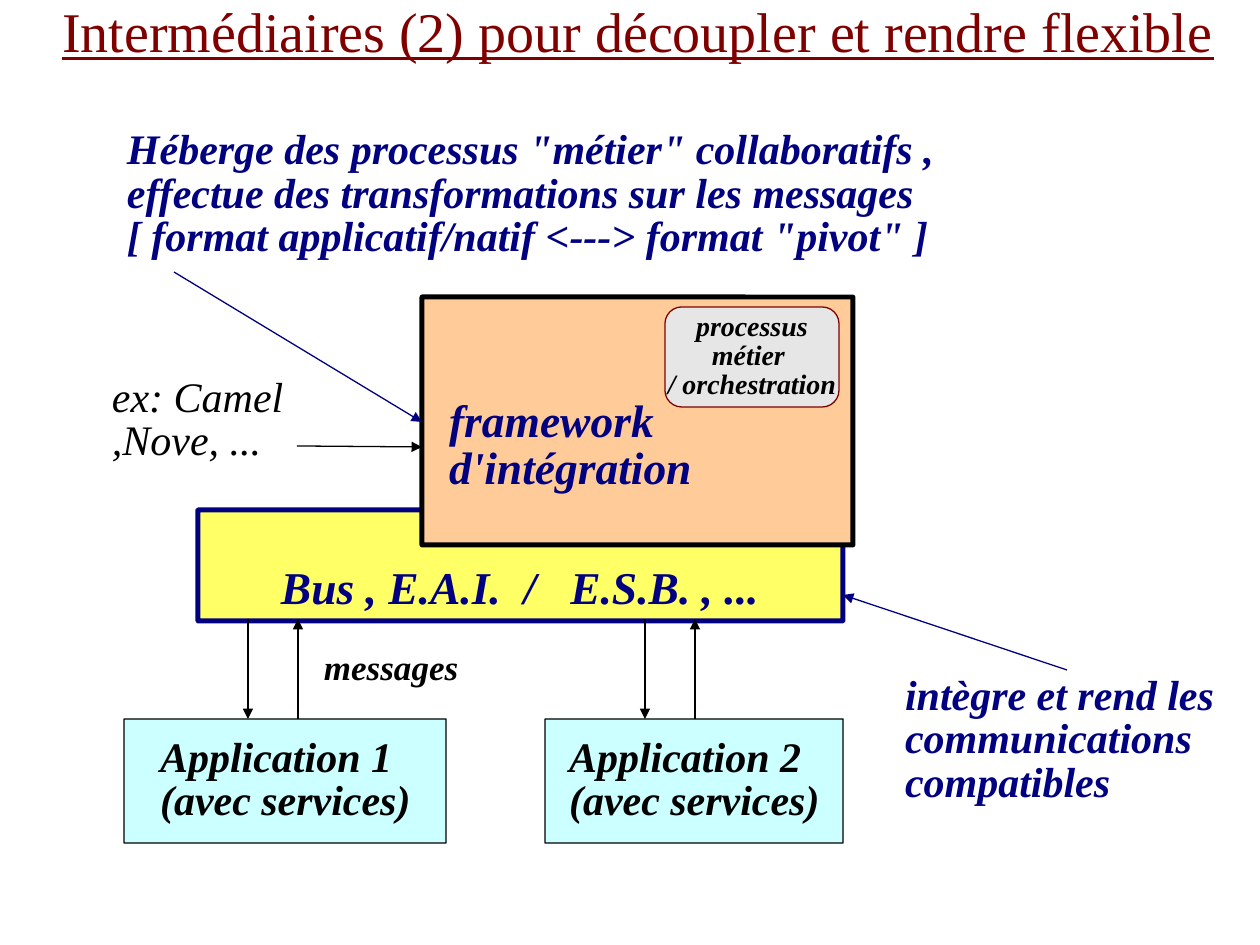
from dataclasses import dataclass

from lxml import etree
from pptx import Presentation
from pptx import util as u
from pptx.dml.color import RGBColor
from pptx.enum import shapes, text
from pptx.oxml import ns

EMU_PER_PX = 914400 / 126


@dataclass(frozen=True)
class Theme:
    font: str = "Times New Roman"
    maroon: str = "800000"
    navy: str = "000080"
    black: str = "000000"
    cyan: str = "CCFFFF"
    yellow: str = "FFFF66"
    orange: str = "FFCC99"
    grey: str = "E6E6E6"
    title: int = 32
    heading: int = 26
    body: int = 24
    caption: int = 20
    small: int = 16
    thin: float = 0.75
    thick: float = 2.83
    line_spacing: float = 0.86


THEME = Theme()


@dataclass(frozen=True)
class Area:
    left: int
    top: int
    width: int
    height: int


@dataclass(frozen=True)
class TextStyle:
    size: int
    color: str = THEME.black
    bold: bool = True
    italic: bool = True
    underline: bool = False
    centred: bool = False
    wrap: bool = True


@dataclass(frozen=True)
class Margins:
    left: int = 13
    top: int = 6
    right: int = 13
    bottom: int = 6


@dataclass(frozen=True)
class Box:
    area: Area
    label: str
    style: TextStyle
    fill: str
    line: str
    line_width: float
    margins: Margins
    rounding: float = 0.002


@dataclass(frozen=True)
class Note:
    area: Area
    label: str
    style: TextStyle


@dataclass(frozen=True)
class Arrow:
    start: tuple[int, int]
    end: tuple[int, int]
    color: str = THEME.black


APPLICATION = TextStyle(THEME.body)
HEADING = TextStyle(THEME.heading, THEME.navy)
COMMENT = TextStyle(THEME.body, THEME.navy)

BOXES = [
    Box(Area(124, 719, 322, 124), "Application 1\n(avec services)", APPLICATION,
        THEME.cyan, THEME.black, THEME.thin, Margins(left=36)),
    Box(Area(545, 719, 298, 124), "Application 2\n(avec services)", APPLICATION,
        THEME.cyan, THEME.black, THEME.thin, Margins(left=24)),
    Box(Area(198, 510, 645, 111), "Bus , E.A.I.  /   E.S.B. , ...", HEADING,
        THEME.yellow, THEME.navy, THEME.thick, Margins(83, 55, 15, 5)),
    Box(Area(422, 297, 431, 248), "framework\nd'intégration", HEADING,
        THEME.orange, THEME.black, THEME.thick, Margins(27, 61, 15, 9)),
    Box(Area(665, 307, 174, 100), "processus\nmétier \n/ orchestration",
        TextStyle(THEME.small, centred=True, wrap=False),
        THEME.grey, THEME.maroon, THEME.thin, Margins(), 0.167),
]

NOTES = [
    Note(Area(114, 124, 850, 144),
         'Héberge des processus "métier" collaboratifs ,\n'
         "effectue des transformations sur les messages\n"
         '[ format applicatif/natif <---> format "pivot" ]', COMMENT),
    Note(Area(892, 670, 348, 149),
         "intègre et rend les communications compatibles", COMMENT),
    Note(Area(311, 646, 172, 52), "messages", TextStyle(THEME.caption)),
    Note(Area(99, 372, 200, 116), "ex: Camel ,Nove, ...",
         TextStyle(THEME.body, bold=False)),
]

BUS_BOTTOM, APPLICATION_TOP, CHANNEL_GAP = 619, 719, 50
ARROWS = [
    Arrow((1067, 670), (843, 595), THEME.navy),
    Arrow((174, 272), (422, 422), THEME.navy),
    Arrow((297, 446), (422, 447)),
]
for channel in (248, 645):
    ARROWS.append(Arrow((channel, BUS_BOTTOM), (channel, APPLICATION_TOP)))
    ARROWS.append(Arrow((channel + CHANNEL_GAP, APPLICATION_TOP),
                        (channel + CHANNEL_GAP, BUS_BOTTOM)))


def px(length: int) -> u.Emu:
    return u.Emu(round(length * EMU_PER_PX))


def emu_area(area: Area) -> tuple[u.Emu, ...]:
    return px(area.left), px(area.top), px(area.width), px(area.height)


def color(value: str) -> RGBColor:
    return RGBColor.from_string(value)


def write(shape, label: str, style: TextStyle, margins: Margins,
          anchor=text.MSO_ANCHOR.TOP) -> None:
    frame = shape.text_frame
    frame.text = label
    frame.word_wrap = style.wrap
    frame.auto_size = text.MSO_AUTO_SIZE.NONE
    frame.vertical_anchor = anchor
    frame.margin_left, frame.margin_top = px(margins.left), px(margins.top)
    frame.margin_right, frame.margin_bottom = px(margins.right), px(margins.bottom)
    for paragraph in frame.paragraphs:
        paragraph.alignment = text.PP_ALIGN.CENTER if style.centred else text.PP_ALIGN.LEFT
        paragraph.line_spacing = THEME.line_spacing
        paragraph.space_before = u.Pt(0)
        for run in paragraph.runs:
            font = run.font
            font.name, font.size = THEME.font, u.Pt(style.size)
            font.bold, font.italic = style.bold, style.italic
            font.underline = style.underline
            font.color.rgb = color(style.color)


def draw_title(slide, label: str) -> None:
    title = slide.shapes.title
    title.left, title.top, title.width, title.height = emu_area(Area(49, 0, 1205, 74))
    style = TextStyle(THEME.title, THEME.maroon, bold=False, italic=False, underline=True)
    write(title, label, style, Margins())


def draw_box(slide, box: Box) -> None:
    shape = slide.shapes.add_shape(shapes.MSO_SHAPE.ROUNDED_RECTANGLE, *emu_area(box.area))
    shape.adjustments[0] = box.rounding
    shape.shadow.inherit = False
    shape.fill.solid()
    shape.fill.fore_color.rgb = color(box.fill)
    shape.line.color.rgb = color(box.line)
    shape.line.width = u.Pt(box.line_width)
    write(shape, box.label, box.style, box.margins, text.MSO_ANCHOR.MIDDLE)


def draw_note(slide, note: Note) -> None:
    write(slide.shapes.add_textbox(*emu_area(note.area)), note.label, note.style, Margins())


def draw_arrow(slide, arrow: Arrow) -> None:
    ends = [px(value) for value in arrow.start + arrow.end]
    connector = slide.shapes.add_connector(shapes.MSO_CONNECTOR.STRAIGHT, *ends)
    connector.line.color.rgb = color(arrow.color)
    connector.line.width = u.Pt(THEME.thin)
    etree.SubElement(connector.line._get_or_add_ln(), ns.qn("a:tailEnd"), type="triangle")
    etree.SubElement(connector._element.spPr, ns.qn("a:effectLst"))


def main() -> None:
    presentation = Presentation()
    presentation.slide_width, presentation.slide_height = px(1260), px(945)
    slide = presentation.slides.add_slide(presentation.slide_layouts.get_by_name("Title Only"))
    draw_title(slide, "Intermédiaires (2) pour découpler et rendre flexible")
    for box in BOXES:
        draw_box(slide, box)
    for note in NOTES:
        draw_note(slide, note)
    for arrow in ARROWS:
        draw_arrow(slide, arrow)
    presentation.save("out.pptx")


if __name__ == "__main__":
    main()
